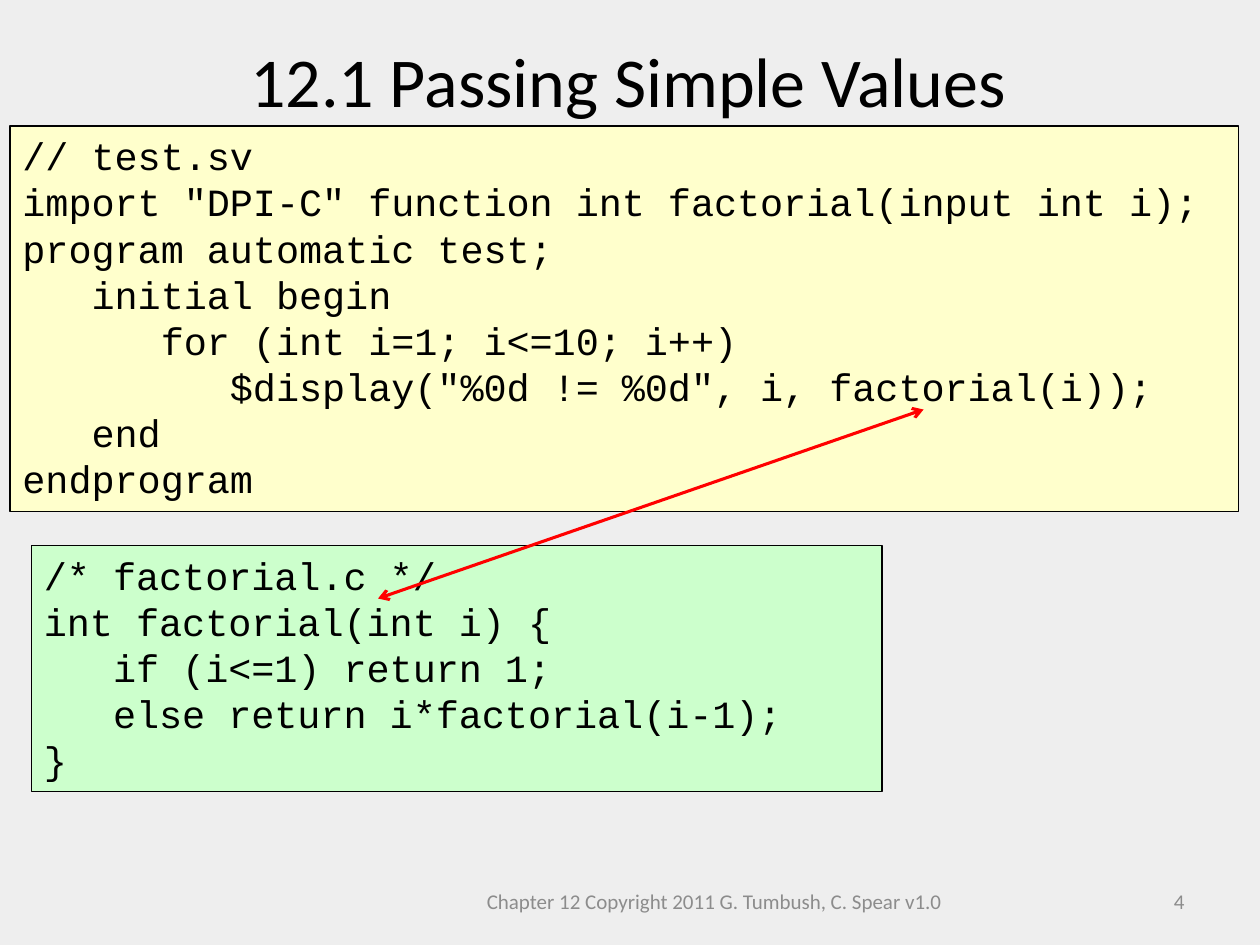
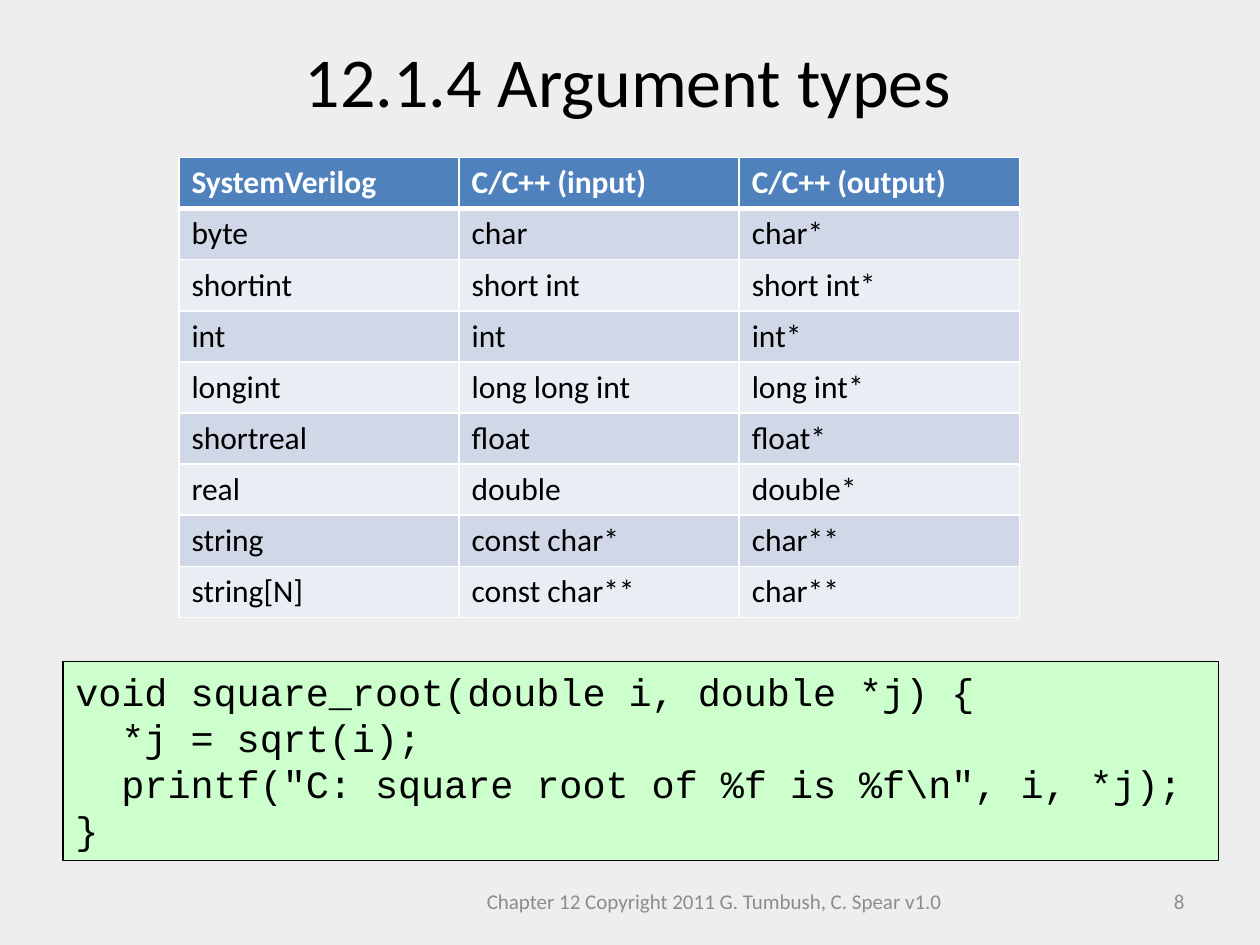
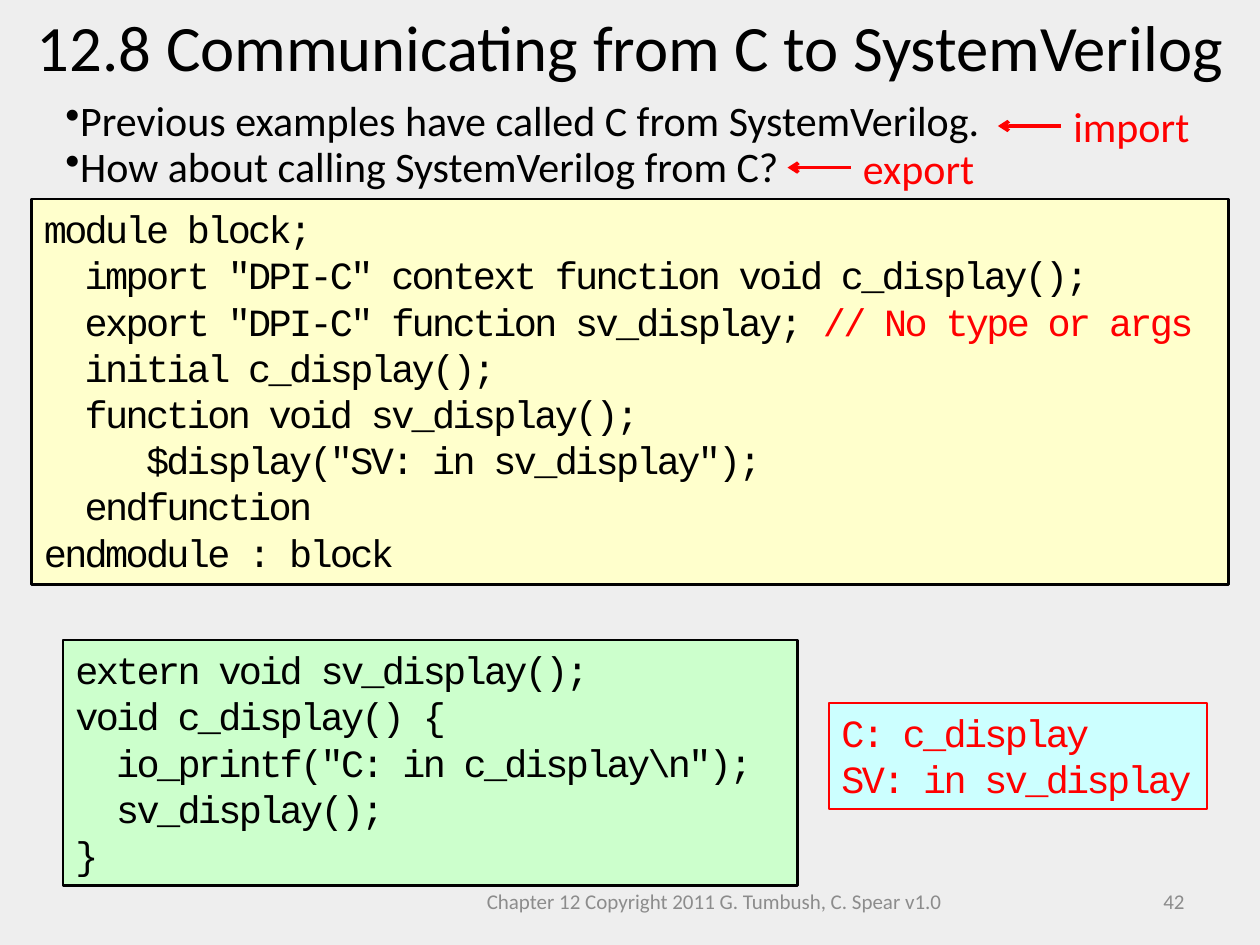
from lxml.etree import SubElement
from pptx import Presentation
from pptx.dml.color import RGBColor
from pptx.enum.shapes import MSO_CONNECTOR as Connector, MSO_SHAPE as Shape
from pptx.enum.text import MSO_ANCHOR as Anchor, MSO_AUTO_SIZE as AutoSize, PP_ALIGN as Align
from pptx.oxml import parse_xml
from pptx.oxml.ns import nsdecls, qn
from pptx.util import Inches, Pt

COLOURS = {
    "background": "EEEEEE", "text": "000000", "footer": "8C8C8C", "accent": "FF0000",
    "verilog": "FFFFCC", "c": "CCFFCC", "output": "CCFFFF",
    "header": "4F81BD", "odd row": "D0D8E8", "even row": "E9EDF4", "white": "FFFFFF",
}
BODY, CODE = "Calibri", "Courier New"
FOOTER = "Chapter 12 Copyright 2011 G. Tumbush, C. Spear v1.0"
TITLE_BOX = (0.33, 0.25, 9.31, 0.77)

FACTORIAL_TEST = """\
// test.sv
import "DPI-C" function int factorial(input int i);
program automatic test;
   initial begin
      for (int i=1; i<=10; i++)
         $display("%0d != %0d", i, factorial(i));
   end
endprogram"""
FACTORIAL_C = """\
/* factorial.c */
int factorial(int i) {
   if (i<=1) return 1;
   else return i*factorial(i-1);
}"""
SQUARE_ROOT_C = r"""void square_root(double i, double *j) {
  *j = sqrt(i);
  printf("C: square root of %f is %f\n", i, *j);
}"""
EXPORT_MODULE = """\
module block;
  import "DPI-C" context function void c_display();
  export "DPI-C" function sv_display; // No type or args
  initial c_display();
  function void sv_display();
     $display("SV: in sv_display");
  endfunction
endmodule : block"""
EXPORT_C = r"""extern void sv_display();
void c_display() {
  io_printf("C: in c_display\n");
  sv_display();
}"""
EXPORT_OUTPUT = """\
C: c_display
SV: in sv_display"""
ARGUMENT_TYPES = [
    ("SystemVerilog", "C/C++ (input)", "C/C++ (output)"),
    ("byte", "char", "char*"),
    ("shortint", "short int", "short int*"),
    ("int", "int", "int*"),
    ("longint", "long long int", "long int*"),
    ("shortreal", "float", "float*"),
    ("real", "double", "double*"),
    ("string", "const char*", "char**"),
    ("string[N]", "const char**", "char**"),
]


def rgb(colour):
    """Return the named colour."""
    return RGBColor.from_string(COLOURS[colour])


def inches(box):
    """Convert each number of a box to a length."""
    return [Inches(value) for value in box]


def set_values(target, **values):
    """Set each attribute of the target."""
    for name, value in values.items():
        setattr(target, name, value)


def add_run(paragraph, text, size, colour="text", name=BODY, bold=False, spacing=0):
    """Add formatted text to a paragraph."""
    run = paragraph.add_run()
    run.text = text
    set_values(run.font, size=Pt(size), name=name, bold=bold)
    run.font.color.rgb = rgb(colour)
    if spacing:
        run.font._element.set("spc", str(round(spacing * 100)))


def next_paragraph(frame, index):
    """Return the first paragraph of a frame, or a new one."""
    return frame.add_paragraph() if index else frame.paragraphs[0]


def add_label(shapes, box, text, size, colour, align=Align.LEFT, anchor=Anchor.TOP, wrap=True):
    """Add a text box with one line."""
    frame = shapes.add_textbox(*inches(box)).text_frame
    set_values(frame, word_wrap=wrap, vertical_anchor=anchor)
    frame.paragraphs[0].alignment = align
    add_run(frame.paragraphs[0], text, size, colour)


def add_title_slide(presentation, title, number, box=TITLE_BOX, size=40):
    """Add a slide with its title, footer and number."""
    slide = presentation.slides.add_slide(presentation.slide_layouts[5])
    left, top, width, height = inches(box)
    set_values(slide.shapes.title, left=left, top=top, width=width, height=height)
    frame = slide.shapes.title.text_frame
    set_values(frame, word_wrap=True, auto_size=AutoSize.NONE, vertical_anchor=Anchor.TOP)
    frame.paragraphs[0].alignment = Align.CENTER
    add_run(frame.paragraphs[0], title, size)
    add_label(slide.shapes, (3.42, 6.95, 4.5, 0.4), FOOTER, 12, "footer", Align.CENTER, Anchor.MIDDLE)
    add_label(slide.shapes, (7.17, 6.95, 2.33, 0.4), str(number), 12, "footer", Align.RIGHT, Anchor.MIDDLE)
    return slide


def add_code(slide, box, code, fill, border=0.75, spacing=0, colour="text", comment=None, wrap=True):
    """Add a framed code listing."""
    shape = slide.shapes.add_shape(Shape.RECTANGLE, *inches(box))
    shape.shadow.inherit = False
    shape.fill.solid()
    shape.fill.fore_color.rgb = rgb(fill)
    shape.line.color.rgb = rgb("accent" if colour == "accent" else "text")
    shape.line.width = Pt(border)
    frame = shape.text_frame
    set_values(frame, word_wrap=wrap, vertical_anchor=Anchor.TOP)
    for index, line in enumerate(code.splitlines()):
        paragraph = next_paragraph(frame, index)
        paragraph.alignment = Align.LEFT
        statement, mark, remark = line.partition("//")
        for text, shade in ((statement, colour), (mark + remark, comment or colour)):
            if text:
                add_run(paragraph, text, 22, shade, CODE, spacing=spacing)


def add_arrow(shapes, start, end, width, ends=("tailEnd",)):
    """Add a straight red line with arrowheads."""
    connector = shapes.add_connector(Connector.STRAIGHT, *inches(start + end))
    connector.line.color.rgb = rgb("accent")
    connector.line.width = Pt(width)
    for end_name in ends:
        SubElement(connector.line._get_or_add_ln(), qn(f"a:{end_name}"), type="arrow")
    SubElement(connector._element.spPr, qn("a:effectLst"))


def add_pointer(slide, box, text):
    """Add a red word with an arrow pointing left from it."""
    shapes = slide.shapes.add_group_shape().shapes
    left, middle = box[0], box[1] + 0.25
    add_label(shapes, box, text, 24, "accent", wrap=False)
    add_arrow(shapes, (left, middle), (left - 0.5, middle), 2)


def add_bullets(slide, box, lines):
    """Add a bulleted list."""
    frame = slide.shapes.add_textbox(*inches(box)).text_frame
    frame.word_wrap = True
    for index, line in enumerate(lines):
        paragraph = next_paragraph(frame, index)
        paragraph.line_spacing = 0.9
        SubElement(paragraph._p.get_or_add_pPr(), qn("a:buChar"), char="•")
        add_run(paragraph, line, 24)


def set_borders(cell, **widths):
    """Draw white borders of the given widths around a cell."""
    for index, side in enumerate("LRTB"):
        border = parse_xml(
            f'<a:ln{side} {nsdecls("a")} w="{Pt(widths.get(side, 1))}"><a:solidFill>'
            f'<a:srgbClr val="{COLOURS["white"]}"/></a:solidFill></a:ln{side}>')
        cell._tc.get_or_add_tcPr().insert(index, border)


def add_type_table(slide, box, rows):
    """Add a banded table under a header row."""
    table = slide.shapes.add_table(len(rows), len(rows[0]), *inches(box)).table
    for row_index, row in enumerate(rows):
        header = row_index == 0
        fill = "header" if header else "odd row" if row_index % 2 else "even row"
        for column_index, text in enumerate(row):
            cell = table.cell(row_index, column_index)
            cell.fill.solid()
            cell.fill.fore_color.rgb = rgb(fill)
            set_borders(cell, T=3 if row_index == 1 else 1, B=3 if header else 1)
            add_run(cell.text_frame.paragraphs[0], text, 18, "white" if header else "text", bold=header)


def build_simple_values(presentation):
    """Build the slide on passing simple values."""
    slide = add_title_slide(presentation, "12.1 Passing Simple Values", 4)
    add_code(slide, (0.08, 1, 9.75, 3.06), FACTORIAL_TEST, "verilog")
    add_code(slide, (0.25, 4.33, 6.75, 1.95), FACTORIAL_C, "c")
    add_arrow(slide.shapes, (7.33, 3.25), (3, 4.75), 1.75, ("headEnd", "tailEnd"))


def build_argument_types(presentation):
    """Build the slide on argument types."""
    slide = add_title_slide(presentation, "12.1.4 Argument types", 8)
    add_type_table(slide, (1.42, 1.25, 6.67, 3.65), ARGUMENT_TYPES)
    add_code(slide, (0.5, 5.25, 9.17, 1.58), SQUARE_ROOT_C, "c")


def build_export(presentation):
    """Build the slide on calling SystemVerilog from C."""
    slide = add_title_slide(
        presentation, "12.8 Communicating from C to SystemVerilog", 42, (0, 0, 10, 0.74), 37)
    add_bullets(slide, (0.42, 0.75, 8, 0.83), (
        "Previous examples have called C from SystemVerilog.",
        "How about calling SystemVerilog from C?"))
    tight = {"border": 1.5, "spacing": -1.5}
    add_code(slide, (0.25, 1.58, 9.5, 3.06), EXPORT_MODULE, "verilog", comment="accent", **tight)
    add_pointer(slide, (8.42, 0.75, 1.13, 0.5), "import")
    add_pointer(slide, (6.75, 1.08, 1.09, 0.5), "export")
    add_code(slide, (0.5, 5.08, 5.83, 1.95), EXPORT_C, "c", **tight)
    add_code(slide, (6.58, 5.58, 3, 0.84), EXPORT_OUTPUT, "output", colour="accent", wrap=False, **tight)


def main():
    """Build and save the presentation."""
    presentation = Presentation()
    set_values(presentation, slide_width=Inches(10), slide_height=Inches(7.5))
    background = presentation.slide_master.background.fill
    background.solid()
    background.fore_color.rgb = rgb("background")
    for build in (build_simple_values, build_argument_types, build_export):
        build(presentation)
    presentation.save("out.pptx")


if __name__ == "__main__":
    main()
